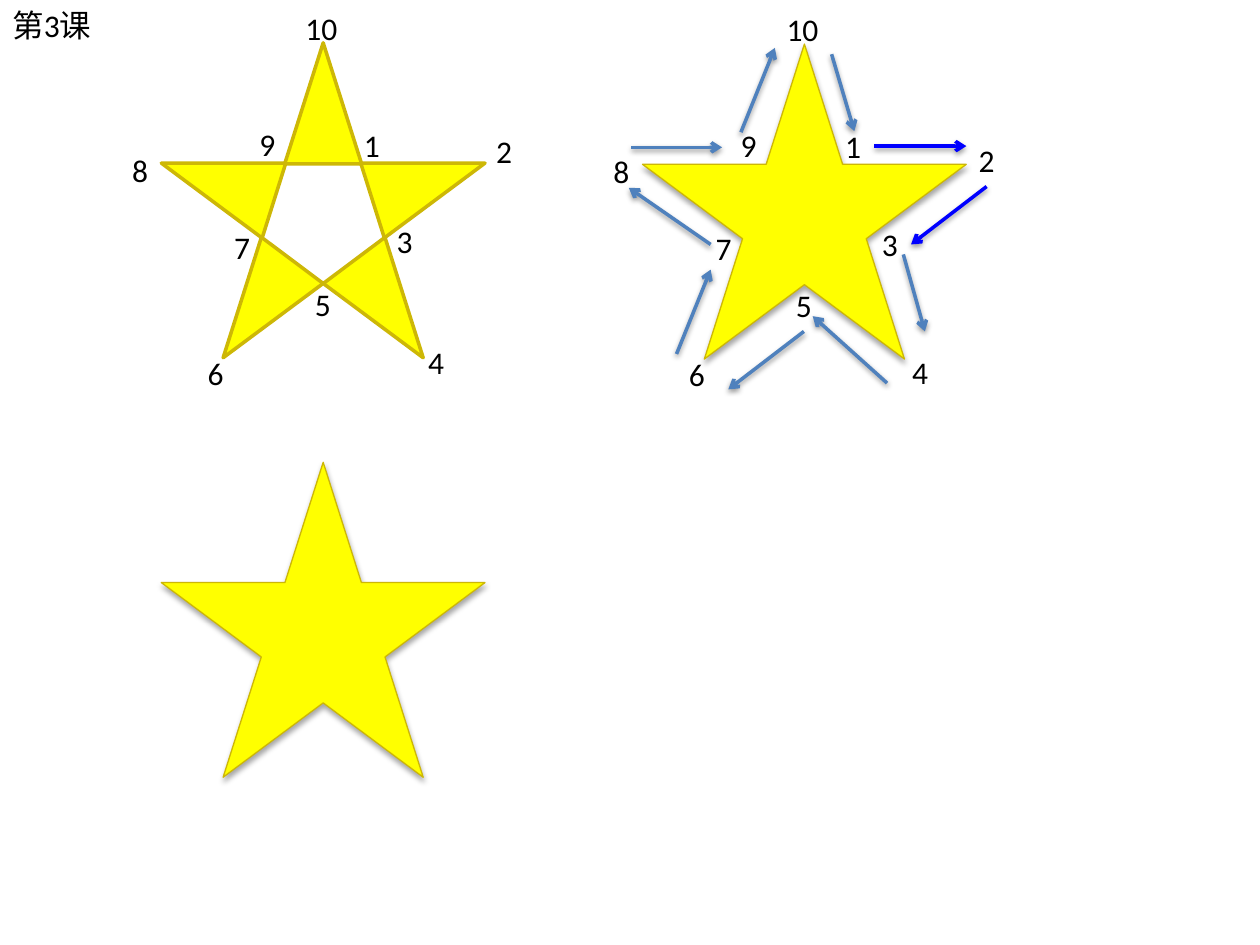
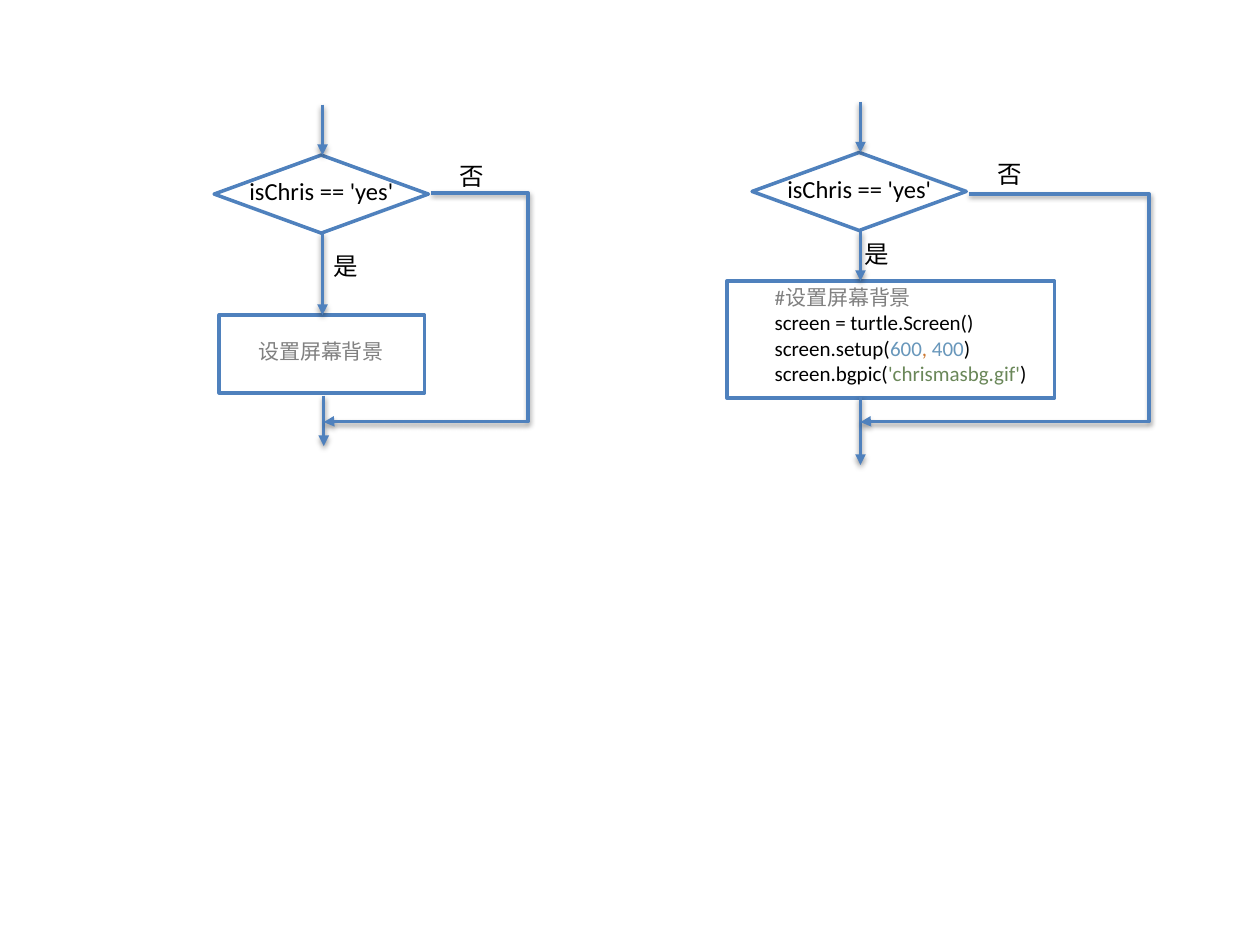
from dataclasses import dataclass

from lxml.etree import SubElement
from pptx import Presentation
from pptx.dml.color import RGBColor
from pptx.enum.shapes import MSO_CONNECTOR, MSO_SHAPE
from pptx.enum.text import MSO_AUTO_SIZE
from pptx.oxml.ns import qn
from pptx.util import Pt


@dataclass(frozen=True)
class Theme:
    font: str = "Calibri"
    black: str = "000000"
    white: str = "FFFFFF"
    star: str = "FFFF00"
    star_edge: str = "CDB706"
    blue: str = "4F81BD"
    highlight: str = "0000FF"
    comment: str = "808080"
    number: str = "6897BB"
    comma: str = "CC7832"
    string: str = "6A8759"
    label_size: float = 18
    flow_size: float = 14
    code_size: float = 12
    thin: float = 0.75
    thick: float = 2
    star_shadow: tuple = (35, 1.8)
    line_shadow: tuple = (38, 1.6)


THEME = Theme()
STAR_WIDTH, STAR_HEIGHT = 185, 180

# Corner numbers run clockwise from the inner corner right of the tip
LABELS = {
    1: (108.7, 43.9), 2: (184.3, 47.5), 3: (127.4, 98.6), 4: (145.4, 167.8),
    5: (80.6, 134.6), 6: (19.4, 174.2), 7: (34.6, 102.2), 8: (-23.8, 58.3),
    9: (49, 43.2), 10: (75.2, -23),
}
ROUTE_LABELS = LABELS | {2: (185, 51.8), 3: (129.6, 100.1), 4: (146.9, 172.8)}

# Start and end of the arrow along each edge, relative to the star
ROUTE = [
    ((132.5, 58.3), (185, 58.3)),
    ((196.6, 81.4), (153.4, 114.5)),
    ((149, 120.2), (161.3, 164.2)),
    ((139.7, 193.7), (97.2, 155.5)),
    ((92.2, 164.2), (49, 197.3)),
    ((19.4, 177.1), (38.9, 128.9)),
    ((38.9, 114.5), (-7.9, 82.1)),
    ((-6.5, 59), (45.4, 59)),
    ((56.2, 50.4), (75.6, 2.2)),
    ((108, 5.8), (121, 49.7)),
]
HIGHLIGHTED_STEPS = 2

# Lines of (text, colour) pieces
ACTION = [[("设置屏幕背景", THEME.comment)]]
CODE = [
    [("#设置屏幕背景", THEME.comment)],
    [("screen = turtle.Screen()", THEME.black)],
    [("screen.setup(", THEME.black), ("600", THEME.number), (", ", THEME.comma),
     ("400", THEME.number), (")", THEME.black)],
    [("screen.bgpic(", THEME.black), ("'chrismasbg.gif'", THEME.string),
     (")", THEME.black)],
]


@dataclass(frozen=True)
class Flow:
    """Lengths relative to the top left corner of the decision diamond."""
    action_box: tuple
    text_box: tuple
    lines: list
    yes_at: tuple
    exit_line: tuple
    bypass_start: tuple
    bypass_end: tuple
    bypass_right: float


SHORT_FLOW = Flow((2.9, 91.4, 117.4, 44.6), (18, 101.5, 104.4, 21.6), ACTION,
                  (61.2, 51.1), (62.6, 137.5, 166.3),
                  (123.8, 21.6), (62.6, 152.6), 179.3)
CODE_FLOW = Flow((-14.4, 73.4, 187.2, 67), (5.8, 72, 177.8, 65.5), CODE,
                 (56.9, 46.1), (61.9, 139.7, 178.6),
                 (123.8, 23.8), (61.9, 154.1), 226.8)


def set_effect(shape, shadow=None):
    """Give a shape or connector a downward shadow, or none at all."""
    effects = SubElement(shape._element.spPr, qn("a:effectLst"))
    if shadow:
        opacity, distance = shadow
        outer = SubElement(effects, qn("a:outerShdw"), blurRad=str(Pt(3.1)),
                           dist=str(Pt(distance)), dir="5400000", rotWithShape="0")
        color = SubElement(outer, qn("a:srgbClr"), val=THEME.black)
        SubElement(color, qn("a:alpha"), val=str(opacity * 1000))


def add_outline(slide, kind, box, fill, edge, width=THEME.thick, shadow=None):
    shape = slide.shapes.add_shape(kind, *map(Pt, box))
    shape.fill.solid()
    shape.fill.fore_color.rgb = RGBColor.from_string(fill)
    shape.line.color.rgb = RGBColor.from_string(edge)
    shape.line.width = Pt(width)
    set_effect(shape, shadow)
    return shape


def add_arrow(slide, start, end, color=THEME.blue, head="triangle",
              kind=MSO_CONNECTOR.STRAIGHT):
    connector = slide.shapes.add_connector(kind, *map(Pt, (*start, *end)))
    connector.line.color.rgb = RGBColor.from_string(color)
    connector.line.width = Pt(THEME.thick)
    SubElement(connector.line._get_or_add_ln(), qn("a:tailEnd"), type=head)
    set_effect(connector, THEME.line_shadow)
    return connector


def add_text(slide, box, lines, size, wrap=False):
    text_frame = slide.shapes.add_textbox(*map(Pt, box)).text_frame
    text_frame.word_wrap = wrap
    text_frame.auto_size = MSO_AUTO_SIZE.SHAPE_TO_FIT_TEXT
    paragraph = text_frame.paragraphs[0]
    for index, line in enumerate(lines):
        if index:
            paragraph.add_line_break()
        for text, color in line:
            run = paragraph.add_run()
            run.text = text
            run.font.name = THEME.font
            run.font.size = Pt(size)
            run.font.color.rgb = RGBColor.from_string(color)


def add_label(slide, box, text, size=THEME.label_size):
    add_text(slide, box, [[(text, THEME.black)]], size)


def add_star(slide, left, top, width=THEME.thin, shadow=THEME.star_shadow):
    add_outline(slide, MSO_SHAPE.STAR_5_POINT, (left, top, STAR_WIDTH, STAR_HEIGHT),
                THEME.star, THEME.star_edge, width, shadow)


def add_corner_labels(slide, left, top, labels):
    for number, (x, y) in labels.items():
        width = 33.1 if number == 10 else 23.8
        add_label(slide, (left + x, top + y, width, 28.8), str(number))


def add_pentagram(slide, left, top):
    """Star with its white core outlined, corners numbered."""
    add_star(slide, left, top, THEME.thick, None)
    add_corner_labels(slide, left, top, LABELS)
    core = add_outline(slide, MSO_SHAPE.REGULAR_PENTAGON,
                       (left + 57.6, top + 69.1, 69.8, 68.4),
                       THEME.white, THEME.star_edge)
    core.rotation = 180


def add_drawing_route(slide, left, top):
    """Star with an arrow for every step around its edge."""
    add_star(slide, left, top)
    add_corner_labels(slide, left, top, ROUTE_LABELS)
    for step, ((x1, y1), (x2, y2)) in enumerate(ROUTE):
        color = THEME.highlight if step < HIGHLIGHTED_STEPS else THEME.blue
        add_arrow(slide, (left + x1, top + y1), (left + x2, top + y2), color, "arrow")


def add_flowchart(slide, left, top, flow):
    def moved(x, y, *size):
        return (left + x, top + y, *size)

    # Decision and action
    add_outline(slide, MSO_SHAPE.DIAMOND, moved(0, 0, 122.4, 44.6),
                THEME.white, THEME.blue)
    add_outline(slide, MSO_SHAPE.RECTANGLE, moved(*flow.action_box),
                THEME.white, THEME.blue)

    # Straight flow
    axis = 61.9
    exit_x, exit_top, exit_bottom = flow.exit_line
    for x, y1, y2 in ((axis, -28.8, 0), (axis, 44.6, flow.action_box[1]),
                      (exit_x, exit_top, exit_bottom)):
        add_arrow(slide, moved(x, y1), moved(x, y2))

    # Texts
    add_label(slide, moved(*flow.yes_at, 28.8, 24.5), "是", THEME.flow_size)
    add_label(slide, moved(133.2, 0, 28.8, 24.5), "否", THEME.flow_size)
    add_label(slide, moved(13, 8.6, 97.9, 24.5), "isChris == 'yes'", THEME.flow_size)
    add_text(slide, moved(*flow.text_box), flow.lines, THEME.code_size, wrap=True)

    # Bypass, bent out to the right and back
    bypass = add_arrow(slide, moved(*flow.bypass_start), moved(*flow.bypass_end),
                       kind=MSO_CONNECTOR.ELBOW)
    start_x, end_x = flow.bypass_start[0], flow.bypass_end[0]
    reach = (start_x - flow.bypass_right) / (start_x - end_x)
    geometry = bypass._element.spPr.find(qn("a:prstGeom"))
    geometry.set("prst", "bentConnector4")
    guides = geometry.find(qn("a:avLst"))
    for name, share in (("adj1", reach), ("adj2", 0.997)):
        SubElement(guides, qn("a:gd"), name=name, fmla=f"val {round(share * 100000)}")


def build_star_slide(slide):
    add_drawing_route(slide, 367.2, 25.2)
    add_pentagram(slide, 92.2, 24.5)
    add_star(slide, 92.2, 264.2)
    add_label(slide, (0, 0, 59.8, 28.8), "第3课")


def build_flow_slide(slide):
    add_flowchart(slide, 122.4, 88.6, SHORT_FLOW)
    add_flowchart(slide, 429.8, 87.1, CODE_FLOW)


def main():
    presentation = Presentation()
    presentation.slide_width, presentation.slide_height = Pt(720), Pt(540)
    blank = presentation.slide_layouts[6]
    for build in (build_star_slide, build_flow_slide):
        build(presentation.slides.add_slide(blank))
    presentation.save("out.pptx")


if __name__ == "__main__":
    main()
